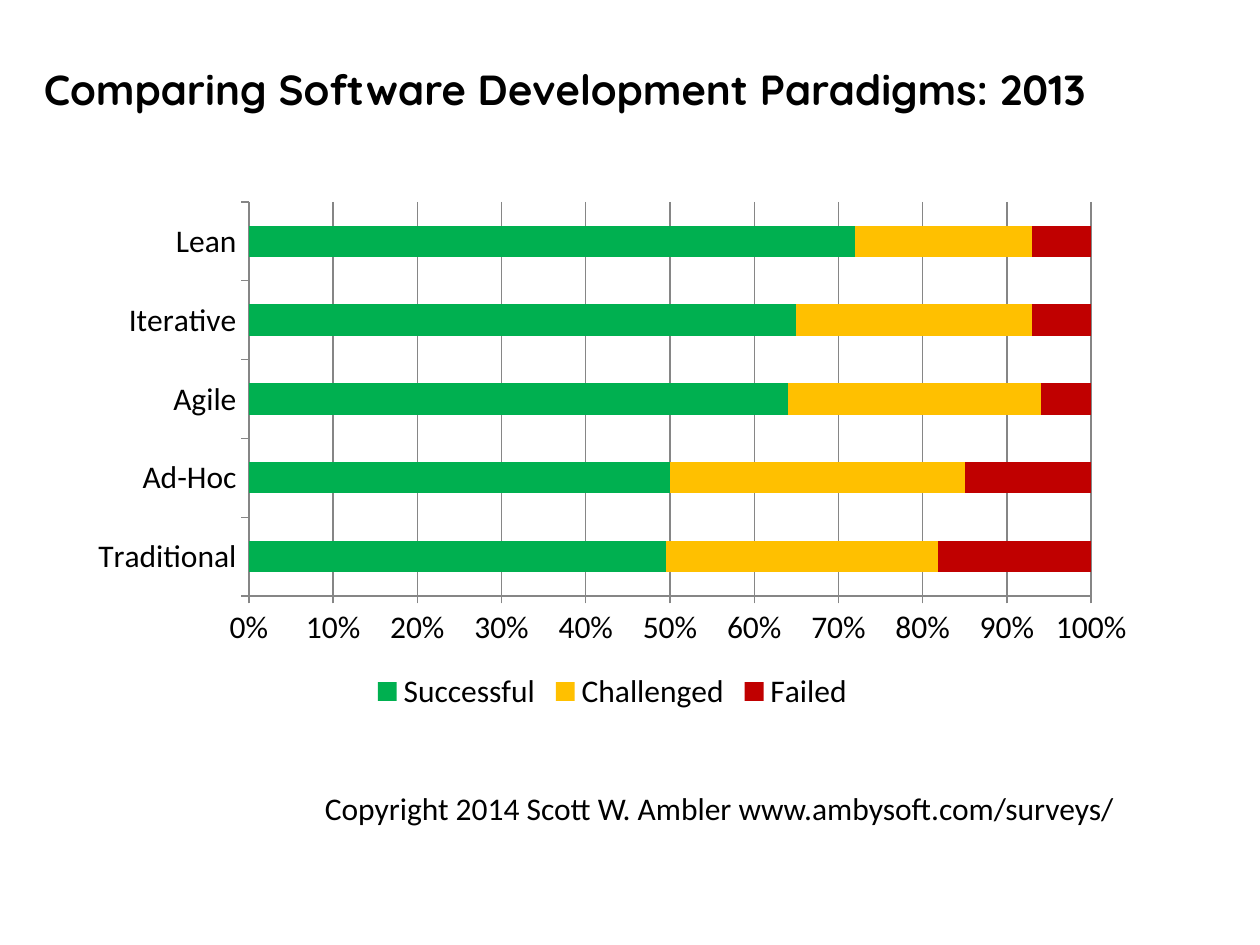
"""Build a slide comparing the outcomes of software development paradigms."""
from dataclasses import dataclass

from pptx import Presentation
from pptx import util as u
from pptx.chart.data import CategoryChartData
from pptx.dml.color import RGBColor
from pptx.enum import chart as charts, text

BLACK = RGBColor(0x00, 0x00, 0x00)
GRAY = RGBColor(0x86, 0x86, 0x86)
GREEN = RGBColor(0x00, 0xB0, 0x50)
AMBER = RGBColor(0xFF, 0xC0, 0x00)
RED = RGBColor(0xC0, 0x00, 0x00)

WIDTH, HEIGHT = u.Inches(10), u.Inches(7.5)
PARADIGMS = ("Traditional", "Ad-Hoc", "Agile", "Iterative", "Lean")


@dataclass(frozen=True)
class Box:
    """Hold a place in inches."""
    left: float
    top: float
    width: float
    height: float

    def lengths(self) -> tuple:
        """Return the place as slide lengths."""
        return tuple(map(u.Inches, (self.left, self.top, self.width, self.height)))


@dataclass(frozen=True)
class Label:
    """Hold a line of text and its format."""
    wording: str
    box: Box
    font: dict
    anchor: text.MSO_ANCHOR


@dataclass(frozen=True)
class Outcome:
    """Hold the percentages of one project outcome."""
    name: str
    values: tuple
    color: RGBColor


LABELS = (
    Label("Comparing Software Development Paradigms: 2013", Box(0.25, 0.4, 8.6, 0.61),
          {"name": "Quicksand", "size": u.Pt(24), "bold": True}, text.MSO_ANCHOR.MIDDLE),
    Label("Copyright 2014 Scott W. Ambler www.ambysoft.com/surveys/", Box(2.48, 6.21, 7.17, 0.22),
          {"name": "Calibri", "size": u.Pt(18)}, text.MSO_ANCHOR.TOP),
)
OUTCOMES = (
    Outcome("Successful", (49, 50, 64, 65, 72), GREEN),
    Outcome("Challenged", (32, 35, 30, 28, 21), AMBER),
    Outcome("Failed", (18, 15, 6, 7, 7), RED),
)


def set_font(font, values: dict) -> None:
    """Apply format values and black to a font."""
    for name, value in values.items():
        setattr(font, name, value)
    font.color.rgb = BLACK


def draw_label(slide, label: Label) -> None:
    """Draw a line of text."""
    frame = slide.shapes.add_textbox(*label.box.lengths()).text_frame
    frame.word_wrap = True
    frame.vertical_anchor = label.anchor
    run = frame.paragraphs[0].add_run()
    run.text = label.wording
    set_font(run.font, label.font)


def draw_chart(slide, box: Box, outcomes: tuple) -> None:
    """Draw the outcomes as full stacked bars."""
    data = CategoryChartData()
    data.categories = PARADIGMS
    for outcome in outcomes:
        data.add_series(outcome.name, outcome.values)
    chart = slide.shapes.add_chart(
        charts.XL_CHART_TYPE.BAR_STACKED_100, *box.lengths(), data).chart
    chart.has_title = False
    chart.has_legend = True
    chart.legend.position = charts.XL_LEGEND_POSITION.BOTTOM
    chart.legend.include_in_layout = False
    category_axis, value_axis = chart.category_axis, chart.value_axis
    for part in (chart, chart.legend, category_axis.tick_labels, value_axis.tick_labels):
        set_font(part.font, {"name": "Calibri", "size": u.Pt(18)})
    value_axis.has_major_gridlines = True
    value_axis.tick_labels.number_format = "0%"
    value_axis.tick_labels.number_format_is_linked = False
    for axis in (category_axis, value_axis):
        axis.major_tick_mark = charts.XL_TICK_MARK.OUTSIDE
        axis.minor_tick_mark = charts.XL_TICK_MARK.NONE
    for part in (category_axis, value_axis, value_axis.major_gridlines):
        part.format.line.color.rgb = GRAY
        part.format.line.width = u.Pt(0.75)
    plot = chart.plots[0]
    for name, value in {"gap_width": 150, "overlap": 100, "vary_by_categories": False}.items():
        setattr(plot, name, value)
    for series, outcome in zip(plot.series, outcomes):
        series.format.fill.solid()
        series.format.fill.fore_color.rgb = outcome.color


def main() -> None:
    """Build and save the presentation."""
    presentation = Presentation()
    presentation.slide_width, presentation.slide_height = WIDTH, HEIGHT
    slide = presentation.slides.add_slide(presentation.slide_layouts[6])
    draw_chart(slide, Box(0.61, 1.52, 8.5, 4.17), OUTCOMES)
    for label in LABELS:
        draw_label(slide, label)
    presentation.save("out.pptx")


if __name__ == "__main__":
    main()
